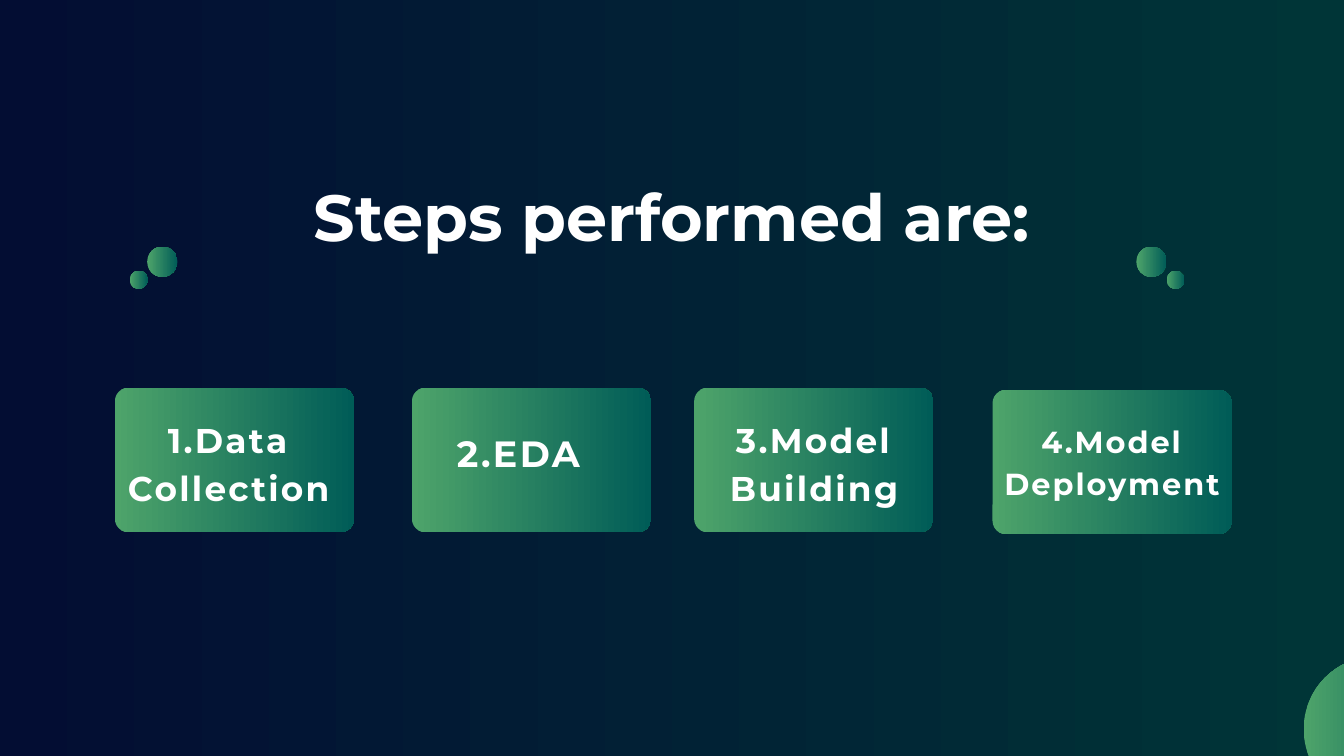
from dataclasses import dataclass

from pptx import Presentation
from pptx.dml.color import RGBColor
from pptx.enum.shapes import MSO_SHAPE
from pptx.enum.text import MSO_ANCHOR, PP_ALIGN
from pptx.util import Inches, Pt

OVAL = MSO_SHAPE.OVAL
CARD = MSO_SHAPE.ROUNDED_RECTANGLE
CENTER = PP_ALIGN.CENTER
TOP = MSO_ANCHOR.TOP
TITLE_ONLY = 5


@dataclass(frozen=True)
class Theme:
    font: str = "Montserrat"
    text: RGBColor = RGBColor(0xFF, 0xFF, 0xFF)
    backdrop: tuple = (RGBColor(0x03, 0x0D, 0x33), RGBColor(0x00, 0x35, 0x37))
    accent: tuple = (RGBColor(0x4E, 0xA4, 0x6A), RGBColor(0x00, 0x5C, 0x57))
    title_size: float = 69.8
    large: float = 39.1
    medium: float = 36.8
    small: float = 32.6


THEME = Theme()

CARD_WIDTH, CARD_HEIGHT, CARD_RADIUS = 3.56, 2.15, 0.2

# Card left and top, label box, wording, type size
STEPS = [
    (1.71, 5.77, (1.48, 6.14, 3.85, 1.39), "1.Data Collection", THEME.medium),
    (6.13, 5.77, (5.49, 6.3, 4.45, 0.73), "2.EDA", THEME.large),
    (10.33, 5.77, (10.19, 6.14, 3.85, 1.39), "3.Model Building", THEME.medium),
    (14.77, 5.8, (14.92, 6.2, 3.26, 1.23), "4.Model Deployment", THEME.small),
]


def inches(box):
    return [Inches(value) for value in box]


def paint_gradient(fill, colors):
    """Fill from left to right with two colours."""
    fill.gradient()
    fill.gradient_angle = 0
    for stop, color, position in zip(fill.gradient_stops, colors, (0, 1)):
        stop.color.rgb = color
        stop.position = position


def write_text(frame, text, *, size, leading, tracking=0):
    """Write one centred bold paragraph in a frame without margins."""
    frame.margin_left = frame.margin_right = 0
    frame.margin_top = frame.margin_bottom = 0
    frame.word_wrap = True
    frame.vertical_anchor = TOP
    paragraph = frame.paragraphs[0]
    paragraph.alignment = CENTER
    paragraph.line_spacing = Pt(leading)
    run = paragraph.add_run()
    run.text = text
    run.font.name = THEME.font
    run.font.size = Pt(size)
    run.font.bold = True
    run.font.color.rgb = THEME.text
    if tracking:
        run._r.get_or_add_rPr().set("spc", str(round(tracking * 100)))


def add_accent(slide, preset, box):
    accent = slide.shapes.add_shape(preset, *inches(box))
    accent.shadow.inherit = False
    accent.line.fill.background()
    paint_gradient(accent.fill, THEME.accent)
    return accent


def add_title(slide, box):
    title = slide.shapes.title
    title.left, title.top, title.width, title.height = inches(box)
    write_text(title.text_frame, "Steps performed are:",
               size=THEME.title_size, leading=83.8)


def add_bubbles(slide, box, mirrored=False):
    """Large bubble at the top, small one at the bottom on the outer side."""
    left, top, width, height = box
    large, small = 0.45, 0.27
    inner, outer = left + width - large, left
    if mirrored:
        inner, outer = left, left + width - small
    add_accent(slide, OVAL, (inner, top, large, large))
    add_accent(slide, OVAL, (outer, top + height - small, small, small))


def add_step(slide, box, label_box, text, size):
    card = add_accent(slide, CARD, box)
    card.adjustments[0] = CARD_RADIUS / box[3]
    label = slide.shapes.add_textbox(*inches(label_box))
    write_text(label.text_frame, text, size=size, leading=size * 1.4,
               tracking=round(size * 0.065, 1))


def main():
    deck = Presentation()
    deck.slide_width, deck.slide_height = Inches(20), Inches(11.25)
    slide = deck.slides.add_slide(deck.slide_layouts[TITLE_ONLY])
    paint_gradient(slide.background.fill, THEME.backdrop)

    # Heading with bubbles on both sides
    add_title(slide, (3.11, 2.63, 13.78, 1.16))
    add_bubbles(slide, (1.93, 3.67, 0.71, 0.63))
    add_bubbles(slide, (16.91, 3.67, 0.72, 0.63), mirrored=True)

    # Corner circle running over the slide edge
    add_accent(slide, OVAL, (19.4, 9.77, 2.16, 2.16))

    # Step cards
    for left, top, label_box, text, size in STEPS:
        add_step(slide, (left, top, CARD_WIDTH, CARD_HEIGHT),
                 label_box, text, size)

    deck.save("out.pptx")


if __name__ == "__main__":
    main()
